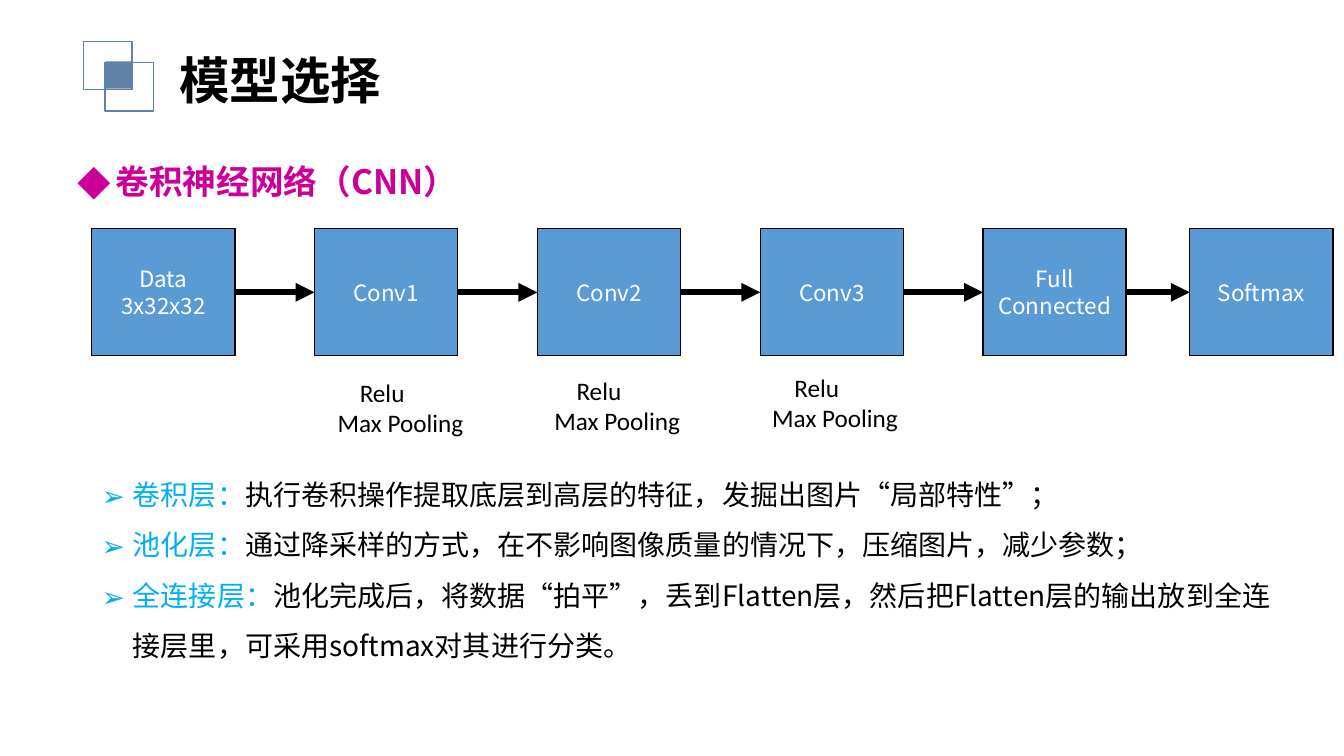
import pptx
import pptx.util
import pptx.dml.color
import pptx.enum.shapes
import pptx.enum.text
import pptx.oxml.ns
import lxml.etree

Inches = pptx.util.Inches
RGBColor = pptx.dml.color.RGBColor
RECTANGLE = pptx.enum.shapes.MSO_SHAPE.RECTANGLE
qn = pptx.oxml.ns.qn

BLACK = RGBColor(0x00, 0x00, 0x00)
WHITE = RGBColor(0xFF, 0xFF, 0xFF)
SLATE = RGBColor(0x60, 0x82, 0xA9)
BLUE = RGBColor(0x5B, 0x9B, 0xD5)
CYAN = RGBColor(0x00, 0xB0, 0xF0)
MAGENTA = RGBColor(0xCC, 0x00, 0x99)
CJK_FONT = "Noto Sans CJK SC"

deck = pptx.Presentation()
deck.slide_width, deck.slide_height = Inches(13.33), Inches(7.5)
page = deck.slides.add_slide(deck.slide_layouts[6])


def add_span(para, text, size, color, bold=False, font=CJK_FONT):
    span = para.add_run()
    span.text = text
    span.font.size = pptx.util.Pt(size)
    span.font.bold = bold
    span.font.name = font
    span.font.color.rgb = color
    east_asian = lxml.etree.SubElement(span._r.get_or_add_rPr(), qn("a:ea"))
    east_asian.set("typeface", font)


def set_indent(para, left, first, bullet=None):
    props = para._p.get_or_add_pPr()
    props.set("marL", str(Inches(left)))
    props.set("indent", str(Inches(first)))
    if bullet:
        lxml.etree.SubElement(props, qn("a:buFont")).set("typeface", CJK_FONT)
        lxml.etree.SubElement(props, qn("a:buChar")).set("char", bullet)


# Title ornament: two outlined squares and their filled overlap
for left, top, width, height, filled in [
    (0.83, 0.41, 0.48, 0.48, False),
    (1.04, 0.62, 0.48, 0.48, False),
    (1.05, 0.61, 0.25, 0.27, True),
]:
    square = page.shapes.add_shape(
        RECTANGLE, Inches(left), Inches(top), Inches(width), Inches(height))
    square.shadow.inherit = False
    if filled:
        square.fill.solid()
        square.fill.fore_color.rgb = SLATE
        square.line.fill.background()
    else:
        square.fill.background()
        square.line.color.rgb = SLATE
        square.line.width = pptx.util.Pt(1)

# Title
title = page.shapes.add_textbox(Inches(1.68), Inches(0.44), Inches(3.19), Inches(0.71))
title.text_frame.word_wrap = True
add_span(title.text_frame.paragraphs[0], "模型选择", 36, BLACK, bold=True)

# Section heading
heading = page.shapes.add_textbox(Inches(0.67), Inches(1.35), Inches(8.3), Inches(0.71))
heading.text_frame.word_wrap = True
para = heading.text_frame.paragraphs[0]
para.line_spacing = 1.5
set_indent(para, 0.38, -0.38, "◆")
add_span(para, "卷积神经网络（CNN）", 24, MAGENTA, bold=True)

# Layer explanations
notes = page.shapes.add_textbox(Inches(0.91), Inches(4.52), Inches(11.89), Inches(2.06))
notes.text_frame.word_wrap = True
explanations = [
    ("卷积层：", "执行卷积操作提取底层到高层的特征，发掘出图片“局部特性”；"),
    ("池化层：", "通过降采样的方式，在不影响图像质量的情况下，压缩图片，减少参数；"),
    ("全连接层：", "池化完成后，将数据“拍平”，丢到Flatten层，然后把Flatten层的输出放到全连接层里，"
                  "可采用softmax对其进行分类。"),
]
for index, (term, meaning) in enumerate(explanations):
    para = notes.text_frame.paragraphs[0] if index == 0 else notes.text_frame.add_paragraph()
    para.line_spacing = 1.5
    set_indent(para, 0.31, -0.31, "➢")
    add_span(para, term, 20, CYAN)
    add_span(para, meaning, 20, BLACK)

# Network stages
BOX_TOP, BOX_WIDTH, BOX_HEIGHT = 2.27, 1.42, 1.26
stages = [["Data", "3x32x32"], ["Conv1"], ["Conv2"], ["Conv3"], ["Full", "Connected"], ["Softmax"]]
lefts = [0.91 + 2.21 * index for index in range(5)] + [11.8]
for left, lines in zip(lefts, stages):
    box = page.shapes.add_shape(
        RECTANGLE, Inches(left), Inches(BOX_TOP), Inches(BOX_WIDTH), Inches(BOX_HEIGHT))
    box.shadow.inherit = False
    box.fill.solid()
    box.fill.fore_color.rgb = BLUE
    box.line.color.rgb = BLACK
    box.line.width = pptx.util.Pt(1)
    frame = box.text_frame
    frame.word_wrap = True
    frame.vertical_anchor = pptx.enum.text.MSO_ANCHOR.MIDDLE
    for index, line in enumerate(lines):
        para = frame.paragraphs[0] if index == 0 else frame.add_paragraph()
        para.alignment = pptx.enum.text.PP_ALIGN.CENTER
        add_span(para, line, 16, WHITE)

# Arrows between neighbouring stages
arrow_y = Inches(BOX_TOP + BOX_HEIGHT / 2)
for left, next_left in zip(lefts, lefts[1:]):
    arrow = page.shapes.add_connector(
        pptx.enum.shapes.MSO_CONNECTOR.STRAIGHT,
        Inches(left + BOX_WIDTH), arrow_y, Inches(next_left), arrow_y)
    arrow.line.color.rgb = BLACK
    arrow.line.width = pptx.util.Pt(4.5)
    lxml.etree.SubElement(arrow.line._get_or_add_ln(), qn("a:tailEnd")).set("type", "triangle")
    lxml.etree.SubElement(arrow._element.spPr, qn("a:effectLst"))

# Activation and pooling captions under the convolutions
for left, top in [(3.19, 3.69), (5.34, 3.67), (7.5, 3.64)]:
    caption = page.shapes.add_textbox(Inches(left), Inches(top), Inches(1.6), Inches(0.71))
    frame = caption.text_frame
    frame.word_wrap = True
    for para, text, indent in [
        (frame.paragraphs[0], "Relu", 0.28),
        (frame.add_paragraph(), "Max Pooling", 0.06),
    ]:
        set_indent(para, indent, 0)
        add_span(para, text, 18, BLACK, font="Calibri")

deck.save("out.pptx")
